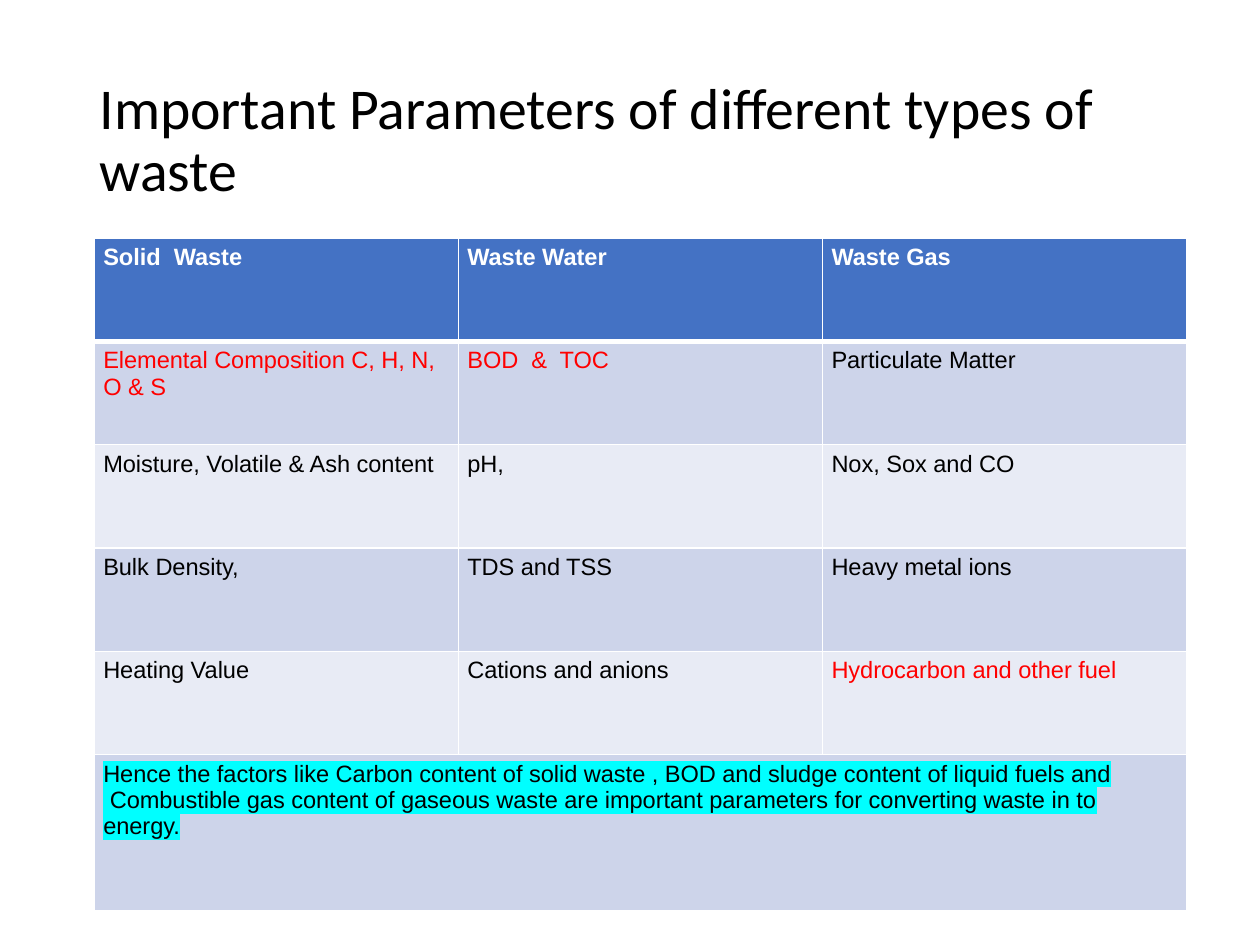
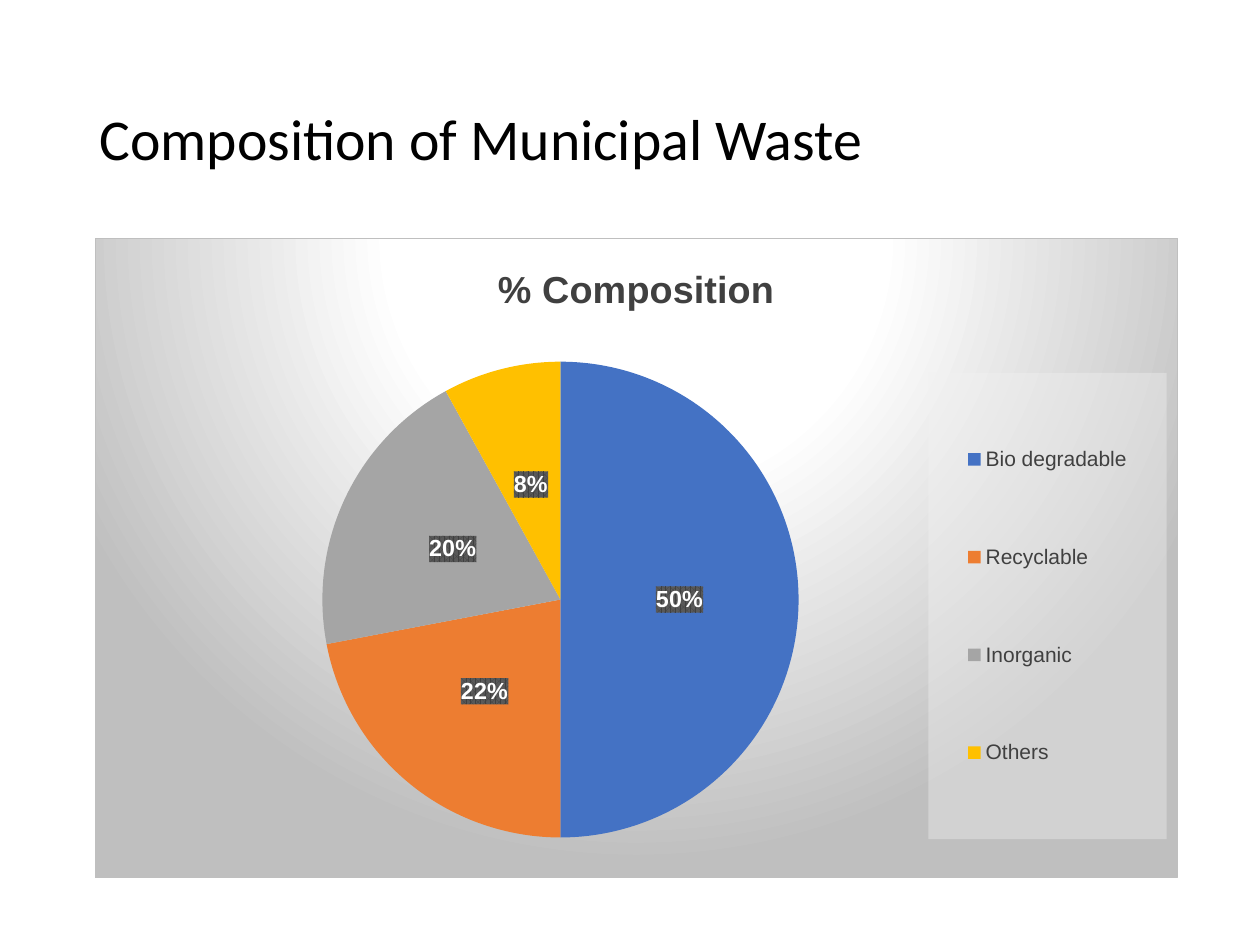
import dataclasses

import pptx
import pptx.chart.data
import pptx.dml.color
import pptx.enum.chart
import pptx.enum.text
import pptx.oxml
import pptx.oxml.ns
import pptx.util

Inches = pptx.util.Inches
Pt = pptx.util.Pt


@dataclasses.dataclass(frozen=True)
class Theme:
    title_font: str = "Calibri"
    body_font: str = "Arial"
    title_size: float = 33
    table_size: float = 13.5
    chart_title_size: float = 21.6
    legend_size: float = 12
    label_size: float = 13.3
    black: str = "000000"
    white: str = "FFFFFF"
    red: str = "FF0000"
    highlight: str = "00FFFF"
    header: str = "4472C4"
    bands: tuple = ("CDD4EA", "E8EBF5")
    slices: tuple = ("4472C4", "ED7D31", "A5A5A5", "FFC000")
    chart_text: str = "404040"
    chart_edge: str = "BFBFBF"
    legend_fill: str = "F2F2F2"
    label_pattern: tuple = ("404040", "595959")


THEME = Theme()
CONTENT_LEFT, CONTENT_TOP = Inches(0.75), Inches(1.89)

PARAMETERS = [
    ["Solid  Waste", "Waste Water", "Waste Gas"],
    ["Elemental Composition C, H, N, O & S", "BOD  &  TOC", "Particulate Matter"],
    ["Moisture, Volatile & Ash content", "pH,", "Nox, Sox and CO"],
    ["Bulk Density,", "TDS and TSS", "Heavy metal ions"],
    ["Heating Value", "Cations and anions", "Hydrocarbon and other fuel"],
]
ENERGY_PARAMETERS = {(1, 0), (1, 1), (4, 2)}
CONCLUSION = (
    "Hence the factors like Carbon content of solid waste , BOD and sludge content of liquid fuels and\n"
    " Combustible gas content of gaseous waste are important parameters for converting waste in to energy."
)
COMPOSITION = {"Bio degradable": 50, "Recyclable": 22, "Inorganic": 20, "Others": 8}


def rgb(color):
    return pptx.dml.color.RGBColor.from_string(color)


def apply(target, values):
    for name, value in values.items():
        setattr(target, name, value)


def style_font(font, size, color, name=THEME.body_font, bold=False):
    apply(font, {"size": Pt(size), "name": name, "bold": bold})
    font.color.rgb = rgb(color)


def xml(markup):
    """Turn markup that uses the a: and c: prefixes into an element."""
    tag_end = min(i for i in (markup.find(" "), markup.find(">"), markup.find("/>")) if i > 0)
    declarations = " " + pptx.oxml.ns.nsdecls("a", "c")
    return pptx.oxml.parse_xml(markup[:tag_end] + declarations + markup[tag_end:])


def solid(color, alpha=100):
    return (f'<a:solidFill><a:srgbClr val="{color}">'
            f'<a:alpha val="{alpha * 1000}"/></a:srgbClr></a:solidFill>')


def add_titled_slide(deck, title):
    slide = deck.slides.add_slide(deck.slide_layouts[5])
    heading = slide.shapes.title
    apply(heading, {"left": Inches(0.69), "top": Inches(0.4),
                    "width": Inches(8.62), "height": Inches(1.45)})
    frame = heading.text_frame
    apply(frame, {"text": title, "word_wrap": True,
                  "auto_size": pptx.enum.text.MSO_AUTO_SIZE.NONE,
                  "vertical_anchor": pptx.enum.text.MSO_ANCHOR.MIDDLE})
    paragraph = frame.paragraphs[0]
    apply(paragraph, {"line_spacing": 0.9, "alignment": pptx.enum.text.PP_ALIGN.LEFT})
    style_font(paragraph.runs[0].font, THEME.title_size, THEME.black, THEME.title_font)
    return slide


def set_borders(cell, top=1, bottom=1):
    properties = cell._tc.get_or_add_tcPr()
    for position, (side, width) in enumerate(zip("LRTB", (1, 1, top, bottom))):
        properties.insert(position, xml(
            f'<a:ln{side} w="{Pt(width)}">{solid(THEME.white)}</a:ln{side}>'))


def highlight_run(run):
    color = xml(f'<a:highlight><a:srgbClr val="{THEME.highlight}"/></a:highlight>')
    run.font._element.find(pptx.oxml.ns.qn("a:solidFill")).addnext(color)


def fill_cell(cell, text, fill, color, bold=False, highlighted=False):
    apply(cell, {"text": text, "margin_left": Inches(0.07), "margin_right": Inches(0.07),
                 "margin_top": Inches(0.05), "margin_bottom": Inches(0.05)})
    cell.fill.solid()
    cell.fill.fore_color.rgb = rgb(fill)
    for paragraph in cell.text_frame.paragraphs:
        for run in paragraph.runs:
            style_font(run.font, THEME.table_size, color, bold=bold)
            if highlighted:
                highlight_run(run)


def add_parameter_table(slide):
    row_heights = [0.82] * len(PARAMETERS) + [1.24]
    columns = len(PARAMETERS[0])
    table = slide.shapes.add_table(
        len(row_heights), columns, CONTENT_LEFT, CONTENT_TOP,
        Inches(2.89 * columns), Inches(sum(row_heights))).table
    for column in table.columns:
        column.width = Inches(2.89)
    for row, height in zip(table.rows, row_heights):
        row.height = Inches(height)

    for r, texts in enumerate(PARAMETERS):
        for c, text in enumerate(texts):
            cell = table.cell(r, c)
            if r == 0:
                fill_cell(cell, text, THEME.header, THEME.white, bold=True)
            else:
                color = THEME.red if (r, c) in ENERGY_PARAMETERS else THEME.black
                fill_cell(cell, text, THEME.bands[(r - 1) % 2], color)
            set_borders(cell, top=3 if r == 1 else 1, bottom=3 if r == 0 else 1)

    last = len(PARAMETERS)
    conclusion = table.cell(last, 0)
    conclusion.merge(table.cell(last, columns - 1))
    fill_cell(conclusion, CONCLUSION, THEME.bands[0], THEME.black, highlighted=True)
    for c in range(columns):
        set_borders(table.cell(last, c))


def set_layout(parent, position, x, y, w, h, inner=False):
    """Place a chart part by fractions of the chart's width and height."""
    for old in parent.xpath("c:layout"):
        parent.remove(old)
    target = '<c:layoutTarget val="inner"/>' if inner else ""
    sizes = "".join(f'<c:{tag} val="{value}"/>' for tag, value in zip("xywh", (x, y, w, h)))
    parent.insert(position, xml(
        f'<c:layout><c:manualLayout>{target}<c:xMode val="edge"/><c:yMode val="edge"/>'
        f'{sizes}</c:manualLayout></c:layout>'))


def set_background(parent, fill, line="<a:ln><a:noFill/></a:ln>"):
    """Put a fill and line on a chart part whose text is already styled."""
    parent.xpath("c:txPr")[0].addprevious(xml(f"<c:spPr>{fill}{line}</c:spPr>"))


def radial_gradient():
    stops = ((0, THEME.white), (39, THEME.white), (100, THEME.chart_edge))
    marks = "".join(f'<a:gs pos="{place * 1000}"><a:srgbClr val="{color}"/></a:gs>'
                    for place, color in stops)
    return (f'<a:gradFill><a:gsLst>{marks}</a:gsLst><a:path path="circle">'
            '<a:fillToRect l="50000" t="-80000" r="50000" b="180000"/></a:path></a:gradFill>')


def label_hatching():
    front, back = THEME.label_pattern
    return (f'<a:pattFill prst="pct75"><a:fgClr><a:srgbClr val="{front}"/></a:fgClr>'
            f'<a:bgClr><a:srgbClr val="{back}"/></a:bgClr></a:pattFill>')


def style_slices(plot):
    plot.vary_by_categories = True
    for i, color in enumerate(THEME.slices):
        slice_format = plot.series[0].points[i].format
        slice_format.fill.solid()
        slice_format.fill.fore_color.rgb = rgb(color)
        slice_format.line.fill.background()
    plot.has_data_labels = True
    labels = plot.data_labels
    apply(labels, {"show_percentage": True, "show_value": False, "number_format": "0%",
                   "number_format_is_linked": False,
                   "position": pptx.enum.chart.XL_LABEL_POSITION.CENTER})
    style_font(labels.font, THEME.label_size, THEME.white, bold=True)


def add_composition_pie(slide):
    data = pptx.chart.data.CategoryChartData()
    data.categories = list(COMPOSITION)
    data.add_series("Series 1", list(COMPOSITION.values()))
    chart = slide.shapes.add_chart(
        pptx.enum.chart.XL_CHART_TYPE.PIE, CONTENT_LEFT, CONTENT_TOP,
        Inches(8.6), Inches(5.08), data).chart
    style_font(chart.font, 10, THEME.black)

    chart.has_title = True
    heading = chart.chart_title.text_frame
    heading.text = "% Composition"
    style_font(heading.paragraphs[0].runs[0].font, THEME.chart_title_size,
               THEME.chart_text, bold=True)

    style_slices(chart.plots[0])
    chart.has_legend = True
    apply(chart.legend, {"position": pptx.enum.chart.XL_LEGEND_POSITION.RIGHT,
                         "include_in_layout": False})
    style_font(chart.legend.font, THEME.legend_size, THEME.chart_text)

    root = chart.element
    legend = root.xpath("c:chart/c:legend")[0]
    set_layout(root.xpath("c:chart/c:plotArea")[0], 0, 0.21, 0.13, 0.44, 0.87, inner=True)
    set_layout(legend, 1, 0.77, 0.21, 0.22, 0.73)
    set_background(legend, solid(THEME.legend_fill, 39))
    set_background(root.xpath(".//c:dLbls")[0], label_hatching())
    set_background(root, radial_gradient(),
                   f'<a:ln w="{Pt(0.75)}">{solid(THEME.chart_edge)}</a:ln>')


def main():
    deck = pptx.Presentation()
    apply(deck, {"slide_width": Inches(10), "slide_height": Inches(7.5)})
    add_parameter_table(add_titled_slide(deck, "Important Parameters of different types of waste"))
    add_composition_pie(add_titled_slide(deck, "Composition of Municipal Waste"))
    deck.save("out.pptx")


if __name__ == "__main__":
    main()
